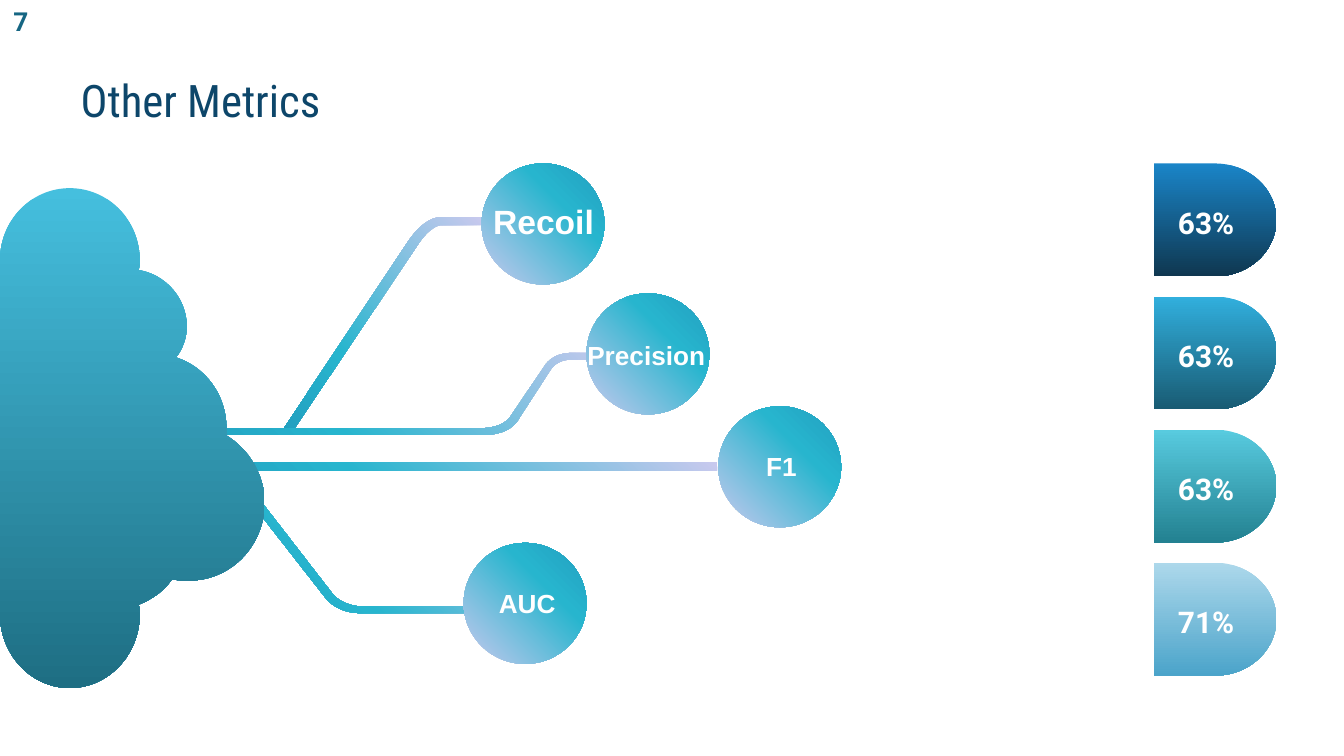
from copy import deepcopy

from lxml.etree import SubElement
from pptx import Presentation
from pptx.dml.color import RGBColor
from pptx.enum.shapes import MSO_SHAPE as Kind
from pptx.enum.text import MSO_ANCHOR as Anchor, MSO_AUTO_SIZE as Fit, PP_ALIGN as Align
from pptx.oxml.ns import qn
from pptx.util import Pt

WHITE = RGBColor(0xFF, 0xFF, 0xFF)
NAVY = RGBColor(0x0D, 0x46, 0x6A)
TEAL = RGBColor(0x16, 0x66, 0x83)
GLOW = [(0, RGBColor(0xC9, 0xC9, 0xEE)), (0.66, RGBColor(0x27, 0xB5, 0xCE)),
        (1, RGBColor(0x22, 0x9F, 0xBF))]
SKY = [(0, RGBColor(0x45, 0xBF, 0xDE)), (1, RGBColor(0x1E, 0x6E, 0x83))]
SCORES = [
    ("63%", RGBColor(0x1A, 0x85, 0xC8), RGBColor(0x0F, 0x37, 0x50)),
    ("63%", RGBColor(0x31, 0xAF, 0xDD), RGBColor(0x19, 0x5B, 0x73)),
    ("63%", RGBColor(0x58, 0xCB, 0xDF), RGBColor(0x23, 0x81, 0x91)),
    ("71%", RGBColor(0xAD, 0xD8, 0xEB), RGBColor(0x4B, 0xA4, 0xCA)),
]

RECOIL = [(85, 0), (83, 0, 75.6, 0.7, 67, 13.7), (0, 114.5), (4.3, 116.6), (72, 15.8),
          (79.2, 4.3, 85, 4.3, 85, 4.3), (107.3, 4.3), (107.3, 0)]
PRECISION = [(218.9, 0), (218.2, 0, 209.5, 0, 205.2, 7.2), (187.2, 33.8),
             (187.2, 33.8, 184.3, 39.6, 172.8, 40.3), (0, 40.3), (0, 43.9), (172.8, 43.9),
             (186.5, 43.9, 190.8, 36.7, 191.5, 35.3), (208.8, 8.6),
             (212.4, 3.6, 218.2, 3.6, 218.9, 3.6), (245.5, 3.6), (245.5, 0)]
F1 = [(0, 0), (0, 4.3), (300.2, 4.3), (300.2, 0)]
AUC = [(4.3, 0), (0, 2.2), (54, 71.3), (60.5, 80.6, 72, 80.6, 74.2, 80.6), (162, 80.6),
       (162, 77), (74.2, 77), (73.4, 77, 64, 77, 58.3, 69.8)]
DISC = [(32.9, 0), (14.7, 0, 0, 14.5, 0, 32.4), (0, 50.3, 14.7, 64.8, 32.9, 64.8),
        (51.1, 64.8, 65.8, 50.3, 65.8, 32.4), (65.8, 14.5, 51.1, 0, 32.9, 0)]
CLOUD = [(37.4, 0), (16.6, 0, 0, 17.3, 0, 38.9), (0, 228.2),
         (0, 249.8, 16.6, 267.8, 37.4, 267.8), (58.3, 267.8, 74.9, 249.8, 74.9, 228.2),
         (74.9, 226.8, 74.9, 224.6, 74.2, 223.2), (81.4, 220.3, 87.8, 216, 92.2, 209.5),
         (95, 210.2, 98.6, 210.2, 101.5, 210.2), (123.8, 210.2, 141.8, 191.5, 141.8, 168.5),
         (141.8, 153.4, 133.2, 139.7, 121.3, 132.5), (121.3, 131, 121.3, 129.6, 121.3, 128.2),
         (121.3, 110.9, 110.2, 95.8, 94.3, 90.7), (97.9, 86.4, 100.1, 79.9, 100.1, 74.2),
         (100.1, 59, 88.6, 46.1, 74.2, 43.9), (74.9, 42.5, 74.9, 40.3, 74.9, 38.9),
         (74.9, 17.3, 58.3, 0, 37.4, 0)]


def shade(shape, stops, angle):
    """Give a shape a linear gradient, with no line and no shadow."""
    shape.shadow.inherit = False
    shape.line.fill.background()
    shape.fill.gradient()
    shape.fill.gradient_angle = angle
    items = shape._element.spPr.find(".//" + qn("a:gsLst"))
    while len(items) < len(stops):
        items.append(deepcopy(items[0]))
    for stop, (place, color) in zip(shape.fill.gradient_stops, stops):
        stop.position = place
        stop.color.rgb = color


def write(frame, text, size, font, color, bold=True, align=Align.CENTER):
    """Put one formatted run in a text frame and return its paragraph."""
    para = frame.paragraphs[0]
    para.alignment = align
    run = para.add_run()
    run.text = text
    run.font.size = Pt(size)
    run.font.name = font
    run.font.bold = bold
    run.font.color.rgb = color
    return para


def pad(frame, anchor, inset=7.2):
    """Set equal insets and the upright anchor."""
    frame.margin_left = frame.margin_right = Pt(inset)
    frame.margin_top = frame.margin_bottom = Pt(inset)
    frame.vertical_anchor = anchor


def bend(shape, steps):
    """Join each three segments that stand for a cubic curve."""
    lines = iter(shape._element.findall(".//" + qn("a:lnTo")))
    for step in steps[1:]:
        first = next(lines)
        if len(step) == 2:
            continue
        path = first.getparent()
        curve = SubElement(path, qn("a:cubicBezTo"))
        path.replace(first, curve)
        curve.append(first[0])
        for _ in range(2):
            line = next(lines)
            curve.append(line[0])
            path.remove(line)


def outline(slide, left, top, steps, stops, angle):
    """Draw a closed shaded outline from the corner of its box."""
    points = [(Pt(left + step[i]), Pt(top + step[i + 1]))
              for step in steps for i in range(0, len(step), 2)]
    builder = slide.shapes.build_freeform(*points[0], scale=1.0)
    builder.add_line_segments(points[1:], close=False)
    shape = builder.convert_to_shape()
    bend(shape, steps)
    SubElement(shape._element.find(".//" + qn("a:path")), qn("a:close"))
    shade(shape, stops, angle)


def label(slide, left, top, width, height, text, size, font, color, wrap=False):
    """Place a one-line text box."""
    box = slide.shapes.add_textbox(Pt(left), Pt(top), Pt(width), Pt(height))
    box.text_frame.word_wrap = wrap
    box.text_frame.auto_size = Fit.SHAPE_TO_FIT_TEXT
    write(box.text_frame, text, size, font, color)


def head(slide, left, top, width, height):
    """Place the slide title."""
    title = slide.shapes.title
    title.left, title.top, title.width, title.height = map(Pt, (left, top, width, height))
    pad(title.text_frame, Anchor.TOP)
    write(title.text_frame, "Other Metrics", 24, "Roboto Condensed", NAVY, False, Align.LEFT)


def tree(slide, left, top):
    """Draw the cloud, its arms and the named metric discs."""
    for x, y, steps in ((151.2, 28.5, RECOIL), (119.5, 160.1, AUC),
                        (86.4, 101.3, PRECISION), (84.2, 159.9, F1)):
        outline(slide, left + x, top + y, steps, GLOW, 225)
    discs = (("Recoil", 258, -0.2, 18, -3.9, 16.6, 74.2, 28.8),
             ("Precision", 314.2, 69.4, 14, -6.9, 21.1, 77.8, 24.5),
             ("F1", 384.8, 129.9, 14, 18.4, 20.3, 31, 24.5),
             ("AUC", 248.4, 203.1, 14, 11.3, 20.2, 45.4, 24.5))
    for _, x, y, *_ in discs:
        outline(slide, left + x, top + y, DISC, GLOW, 45)
    outline(slide, left, top + 13, CLOUD, SKY, 270)
    for name, x, y, size, dx, dy, width, height in discs:
        label(slide, left + x + dx, top + y + dy, width, height, name, size, "Arial", WHITE,
              name == "Recoil")


def scale(slide, left, top, width, height, pitch):
    """Stack the score tabs at an equal pitch."""
    for i, (text, light, dark) in enumerate(SCORES):
        tab = slide.shapes.add_shape(Kind.FLOWCHART_DELAY, Pt(left), Pt(top + i * pitch),
                                     Pt(width), Pt(height))
        shade(tab, [(0, light), (1, dark)], 270)
        pad(tab.text_frame, Anchor.MIDDLE)
        write(tab.text_frame, text, 16, "Roboto", WHITE).line_spacing = 1.15


def main():
    """Build and save the slide."""
    deck = Presentation()
    deck.slide_width, deck.slide_height = Pt(720), Pt(405)
    slide = deck.slides.add_slide(deck.slide_layouts[5])
    head(slide, 36, 31.6, 648, 45.4)
    tree(slide, 0, 87.8)
    scale(slide, 618, 87.6, 65.8, 60.5, 71.3)
    label(slide, 0, -0.5, 22.3, 24.5, "7", 14, "Roboto", TEAL)
    deck.save("out.pptx")


if __name__ == "__main__":
    main()
